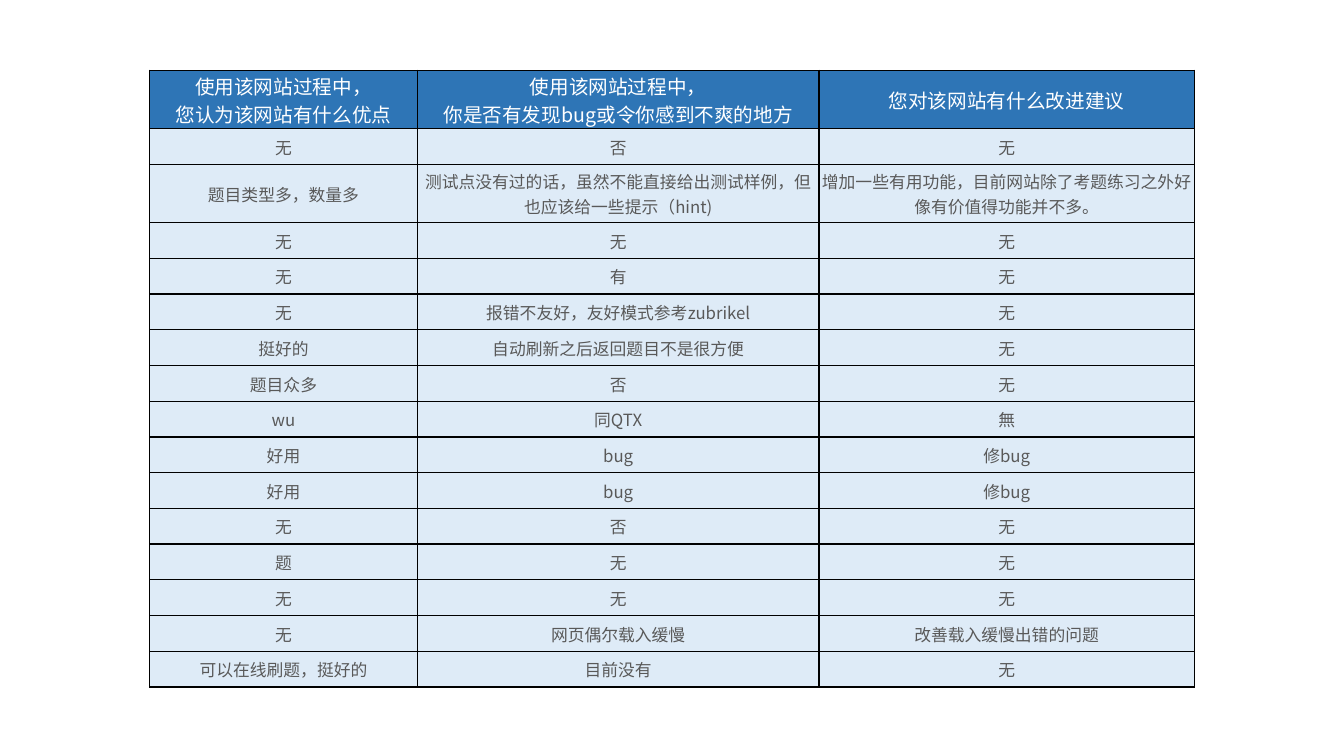
from lxml import etree
from pptx import Presentation
from pptx.dml.color import RGBColor
from pptx.enum.text import MSO_ANCHOR, PP_ALIGN
from pptx.oxml.ns import qn
from pptx.util import Cm, Pt

CENTER = PP_ALIGN.CENTER
MIDDLE = MSO_ANCHOR.MIDDLE

WHITE = RGBColor(0xFF, 0xFF, 0xFF)
BLACK = RGBColor(0x00, 0x00, 0x00)
GRAY = RGBColor(0x59, 0x59, 0x59)
BLUE = RGBColor(0x2E, 0x75, 0xB6)
PALE_BLUE = RGBColor(0xDE, 0xEB, 0xF7)

COLUMN_WIDTHS = [6.75, 10.12, 9.46]
SINGLE_LINE_HEIGHT = 0.9
DOUBLE_LINE_HEIGHT = 1.47
DOUBLE_LINE_ROWS = (0, 2)

FEEDBACK = [
    ("使用该网站过程中，\n您认为该网站有什么优点",
     "使用该网站过程中，\n你是否有发现bug或令你感到不爽的地方",
     "您对该网站有什么改进建议"),
    ("无", "否", "无"),
    ("题目类型多，数量多",
     "测试点没有过的话，虽然不能直接给出测试样例，但也应该给一些提示（hint)",
     "增加一些有用功能，目前网站除了考题练习之外好像有价值得功能并不多。"),
    ("无", "无", "无"),
    ("无", "有", "无"),
    ("无", "报错不友好，友好模式参考zubrikel", "无"),
    ("挺好的", "自动刷新之后返回题目不是很方便", "无"),
    ("题目众多", "否", "无"),
    ("wu", "同QTX", "無"),
    ("好用", "bug", "修bug"),
    ("好用", "bug", "修bug"),
    ("无", "否", "无"),
    ("题", "无", "无"),
    ("无", "无", "无"),
    ("无", "网页偶尔载入缓慢", "改善载入缓慢出错的问题"),
    ("可以在线刷题，挺好的", "目前没有", "无"),
]


def write_text(text_frame, text, *, size, color, font_name, alignment=CENTER):
    text_frame.text = text
    for paragraph in text_frame.paragraphs:
        paragraph.alignment = alignment
        for run in paragraph.runs:
            run.font.size = Pt(size)
            run.font.name = font_name
            run.font.color.rgb = color
            east_asian = etree.SubElement(run.font._element, qn("a:ea"))
            east_asian.set("typeface", font_name)


class SlideBuilder:
    font_name = "Noto Sans CJK SC"
    border_width = Pt(1)
    border_color = BLACK

    def __init__(self, slide):
        self.slide = slide

    def add_borders(self, cell):
        properties = cell._tc.get_or_add_tcPr()
        for position, side in enumerate(("lnL", "lnR", "lnT", "lnB")):
            line = etree.Element(qn(f"a:{side}"), w=str(self.border_width))
            solid_fill = etree.SubElement(line, qn("a:solidFill"))
            etree.SubElement(solid_fill, qn("a:srgbClr"), val=str(self.border_color))
            properties.insert(position, line)

    def format_cell(self, cell, text, *, fill, color, size):
        cell.margin_left = cell.margin_right = cell.margin_top = Cm(0.02)
        cell.margin_bottom = Cm(0)
        cell.vertical_anchor = MIDDLE
        cell.fill.solid()
        cell.fill.fore_color.rgb = fill
        self.add_borders(cell)
        write_text(cell.text_frame, text, size=size, color=color, font_name=self.font_name)

    def add_table(self, rows, left, top, column_widths, row_heights):
        table = self.slide.shapes.add_table(
            len(rows), len(column_widths), Cm(left), Cm(top),
            Cm(sum(column_widths)), Cm(sum(row_heights))).table
        table.horz_banding = False
        for column, width in zip(table.columns, column_widths):
            column.width = Cm(width)
        for row, height in zip(table.rows, row_heights):
            row.height = Cm(height)
        header_style = {"fill": BLUE, "color": WHITE, "size": 14}
        body_style = {"fill": PALE_BLUE, "color": GRAY, "size": 12}
        for row_index, texts in enumerate(rows):
            style = body_style if row_index else header_style
            for column_index, text in enumerate(texts):
                self.format_cell(table.cell(row_index, column_index), text, **style)


def main():
    presentation = Presentation()
    presentation.slide_width = Cm(33.87)
    presentation.slide_height = Cm(19.05)
    slide = presentation.slides.add_slide(presentation.slide_layouts[6])
    row_heights = [
        DOUBLE_LINE_HEIGHT if index in DOUBLE_LINE_ROWS else SINGLE_LINE_HEIGHT
        for index in range(len(FEEDBACK))
    ]
    SlideBuilder(slide).add_table(FEEDBACK, 3.77, 1.77, COLUMN_WIDTHS, row_heights)
    presentation.save("out.pptx")


if __name__ == "__main__":
    main()
